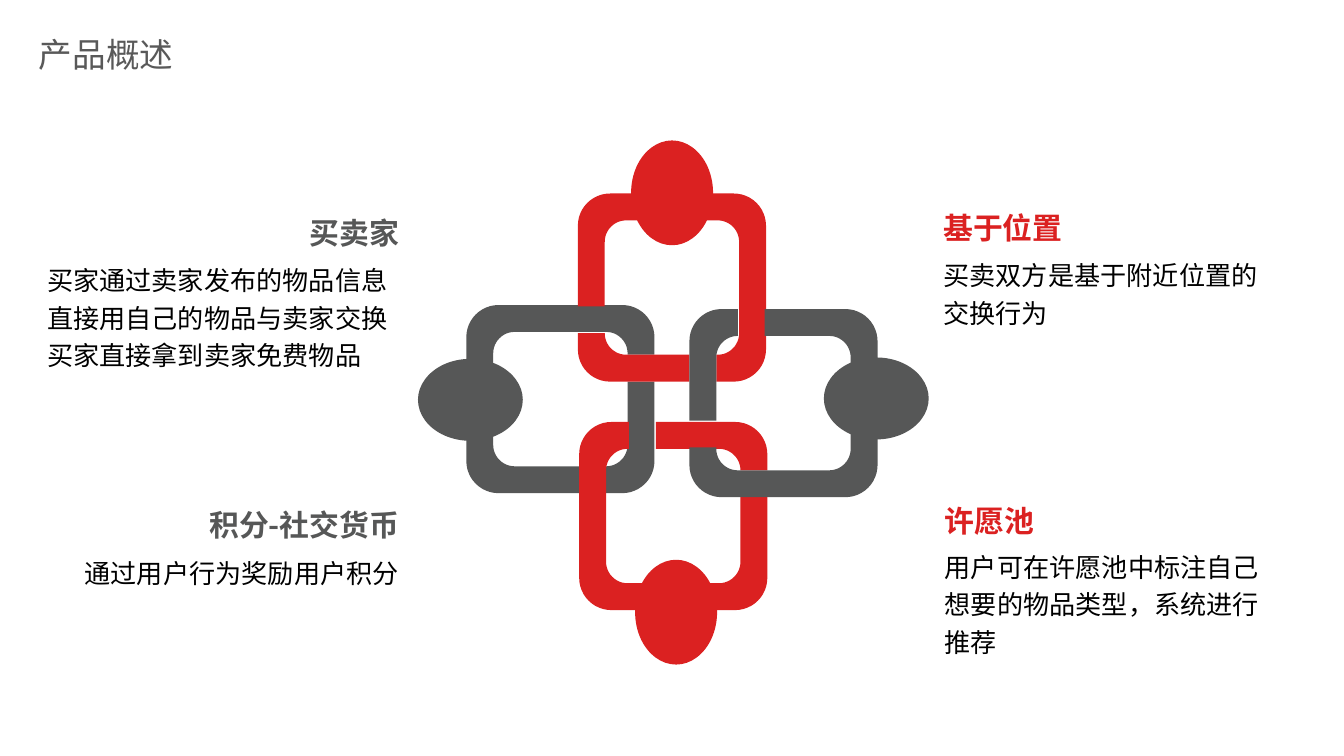
import math

import lxml.etree
import pptx
import pptx.dml.color
import pptx.enum.shapes
import pptx.enum.text
import pptx.oxml.ns
import pptx.util

Inches = pptx.util.Inches
Align = pptx.enum.text.PP_ALIGN
Anchor = pptx.enum.text.MSO_ANCHOR

FONT = "Noto Sans CJK SC"
GREY = "565757"
RED = "DB2121"
BLACK = "000000"
TITLE_GREY = "595959"
BODY_SPACING = 1.2

LINK_SIZE = 1.4
BAND = 0.2
OUTER_RADIUS = 0.24
INNER_RADIUS = 0.16
SIDE_GAP = (0.37, 0.57)
BOTTOM_GAP = (0.84, 1.04)


def color(value):
    return pptx.dml.color.RGBColor.from_string(value)


def paint(shape, fill):
    shape.shadow.inherit = False
    shape.fill.solid()
    shape.fill.fore_color.rgb = color(fill)
    shape.line.fill.background()


def corner(column, row, inset, radius, start, end):
    near = inset + radius
    far = LINK_SIZE - near
    center_x, center_y = (near, far)[column], (near, far)[row]
    steps = 12
    angles = [math.radians(start + (end - start) * step / steps) for step in range(steps + 1)]
    return [(center_x + radius * math.cos(angle), center_y + radius * math.sin(angle)) for angle in angles]


def link_contours():
    inner_edge = LINK_SIZE - BAND
    outer = (0, OUTER_RADIUS)
    inner = (BAND, INNER_RADIUS)
    short_piece = [
        (inner_edge, SIDE_GAP[1]), (LINK_SIZE, SIDE_GAP[1]),
        *corner(1, 1, *outer, 0, 90),
        (BOTTOM_GAP[1], LINK_SIZE), (BOTTOM_GAP[1], inner_edge),
        *corner(1, 1, *inner, 90, 0),
    ]
    long_piece = [
        (BOTTOM_GAP[0], LINK_SIZE),
        *corner(0, 1, *outer, 90, 180),
        *corner(0, 0, *outer, 180, 270),
        *corner(1, 0, *outer, 270, 360),
        (LINK_SIZE, SIDE_GAP[0]), (inner_edge, SIDE_GAP[0]),
        *corner(1, 0, *inner, 360, 270),
        *corner(0, 0, *inner, 270, 180),
        *corner(0, 1, *inner, 180, 90),
        (BOTTOM_GAP[0], inner_edge),
    ]
    return short_piece, long_piece


def place(point, left, top, quarter_turns):
    x, y = point
    for _ in range(quarter_turns):
        x, y = LINK_SIZE - y, x
    return Inches(left + x), Inches(top + y)


def add_link(shapes, left, top, quarter_turns, fill):
    short_piece, long_piece = [
        [place(point, left, top, quarter_turns) for point in contour] for contour in link_contours()
    ]
    builder = shapes.build_freeform(*short_piece[0])
    builder.add_line_segments(short_piece[1:], close=True)
    builder.move_to(*long_piece[0])
    builder.add_line_segments(long_piece[1:], close=True)
    paint(builder.convert_to_shape(), fill)


def add_knob(shapes, left, top, rotation, fill):
    oval = pptx.enum.shapes.MSO_SHAPE.OVAL
    knob = shapes.add_shape(oval, Inches(left), Inches(top), Inches(0.78), Inches(0.61))
    knob.rotation = rotation
    paint(knob, fill)


def move(shape, left, top, width, height):
    shape.left, shape.top = Inches(left), Inches(top)
    shape.width, shape.height = Inches(width), Inches(height)


def format_frame(frame, anchor, wrap=True, vertical_inset=0):
    frame.auto_size = pptx.enum.text.MSO_AUTO_SIZE.NONE
    frame.word_wrap = wrap
    frame.vertical_anchor = anchor
    frame.margin_left = frame.margin_right = 0
    frame.margin_top = frame.margin_bottom = Inches(vertical_inset)


def add_run(paragraph, text, size, fill, bold=False, align=Align.LEFT, spacing=1.0):
    paragraph.alignment = align
    paragraph.line_spacing = spacing
    paragraph.space_before = pptx.util.Pt(0)
    run = paragraph.add_run()
    run.text = text
    run.font.size = pptx.util.Pt(size)
    run.font.bold = bold
    run.font.color.rgb = color(fill)
    run.font.name = FONT
    properties = run._r.get_or_add_rPr()
    lxml.etree.SubElement(properties, pptx.oxml.ns.qn("a:ea"), typeface=FONT)


def add_heading(slide, left, top, text, fill, anchor, align):
    shape = slide.shapes.add_textbox(Inches(left), Inches(top), Inches(1.26), Inches(0.25))
    format_frame(shape.text_frame, anchor, wrap=False)
    add_run(shape.text_frame.paragraphs[0], text, 16, fill, True, align)


def add_description(slide, left, top, width, text, anchor, align):
    shape = slide.shapes.add_textbox(Inches(left), Inches(top), Inches(width), Inches(0.43))
    format_frame(shape.text_frame, anchor)
    add_run(shape.text_frame.paragraphs[0], text, 14, BLACK, align=align, spacing=BODY_SPACING)


def fill_title(slide, text):
    title = slide.shapes.title
    move(title, 0.29, 0.19, 2.33, 0.42)
    format_frame(title.text_frame, Anchor.MIDDLE, vertical_inset=0.05)
    add_run(title.text_frame.paragraphs[0], text, 18, TITLE_GREY)


def fill_list(slide, lines):
    body = slide.placeholders[1]
    move(body, 0.35, 1.92, 2.83, 0.43)
    frame = body.text_frame
    format_frame(frame, Anchor.TOP)
    for index, line in enumerate(lines):
        paragraph = frame.add_paragraph() if index else frame.paragraphs[0]
        add_run(paragraph, line, 14, BLACK, spacing=BODY_SPACING)
        properties = paragraph._p.get_or_add_pPr()
        properties.set("marL", str(Inches(0.25)))
        properties.set("indent", str(Inches(-0.25)))
        lxml.etree.SubElement(properties, pptx.oxml.ns.qn("a:buNone"))


def main():
    presentation = pptx.Presentation()
    presentation.slide_width = Inches(10)
    presentation.slide_height = Inches(10) * 9 // 16
    slide = presentation.slides.add_slide(presentation.slide_layouts[1])
    fill_title(slide, "产品概述")
    fill_list(slide, ["买家通过卖家发布的物品信息", "直接用自己的物品与卖家交换", "买家直接拿到卖家免费物品"])

    chain = slide.shapes.add_group_shape().shapes
    for link, knob, fill in [
        ((3.47, 2.27, 0), (3.11, 2.67, 0), GREY),
        ((4.3, 1.44, 1), (4.61, 1.13, 90), RED),
        ((4.31, 3.14, 3), (4.64, 4.25, 90), RED),
        ((5.13, 2.3, 2), (6.13, 2.66, 0), GREY),
    ]:
        add_link(chain, *link, fill)
        add_knob(chain, *knob, fill)

    left_style = (Anchor.TOP, Align.RIGHT)
    right_style = (Anchor.MIDDLE, Align.LEFT)
    add_heading(slide, 1.71, 1.6, "买卖家", GREY, *left_style)
    add_heading(slide, 1.71, 3.77, "积分-社交货币", GREY, *left_style)
    add_heading(slide, 7.02, 1.57, "基于位置", RED, *right_style)
    add_heading(slide, 7.03, 3.75, "许愿池", RED, *right_style)
    add_description(slide, 0.58, 4.1, 2.39, "通过用户行为奖励用户积分", *left_style)
    add_description(slide, 7.02, 1.95, 2.38, "买卖双方是基于附近位置的交换行为", *right_style)
    add_description(slide, 7.03, 4.26, 2.38, "用户可在许愿池中标注自己想要的物品类型，系统进行推荐", *right_style)

    presentation.save("out.pptx")


if __name__ == "__main__":
    main()
